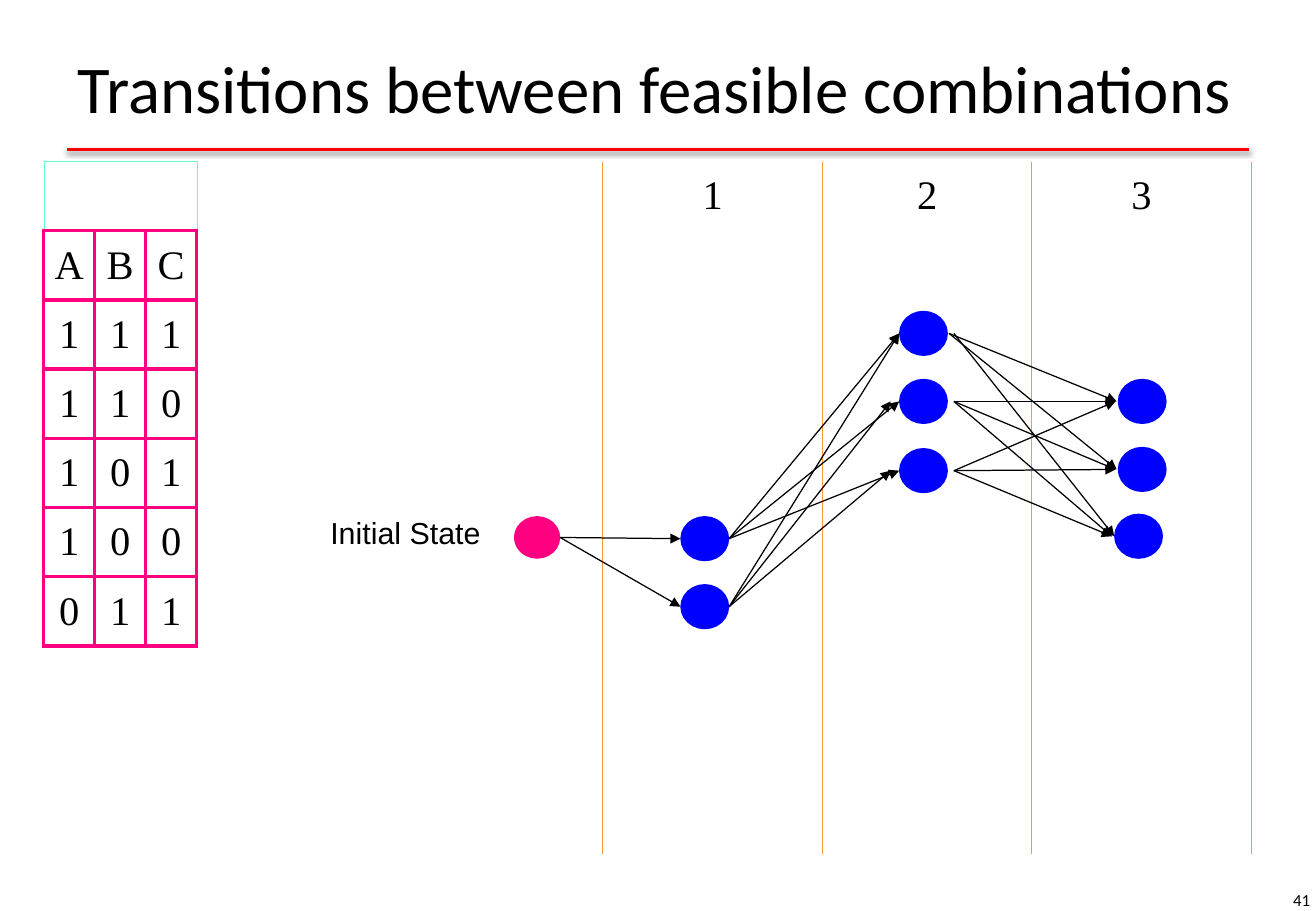
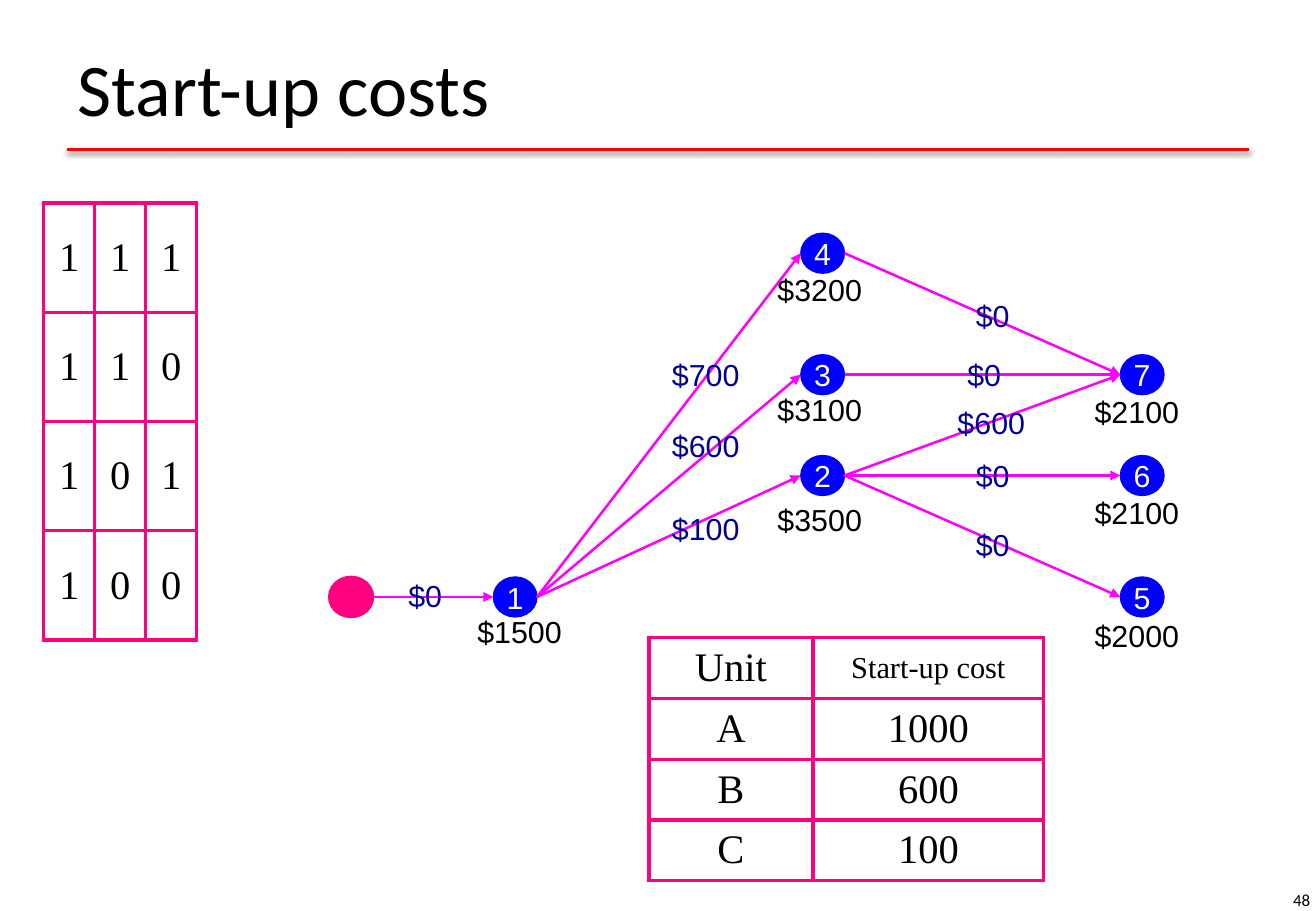
from dataclasses import dataclass

from lxml import etree
from pptx import Presentation
from pptx.dml.color import RGBColor
from pptx.enum.shapes import MSO_CONNECTOR, MSO_SHAPE
from pptx.enum.text import MSO_ANCHOR, MSO_AUTO_SIZE, PP_ALIGN
from pptx.oxml.ns import qn
from pptx.util import Inches, Pt

LEFT, CENTER, RIGHT = PP_ALIGN.LEFT, PP_ALIGN.CENTER, PP_ALIGN.RIGHT
TOP, MIDDLE = MSO_ANCHOR.TOP, MSO_ANCHOR.MIDDLE
TITLE_ONLY = 5


@dataclass(frozen=True)
class Theme:
    black: str = "000000"
    white: str = "FFFFFF"
    red: str = "FF0000"
    pink: str = "FF0080"
    blue: str = "0000FF"
    navy: str = "000099"
    magenta: str = "FF00FF"
    orange: str = "FF9933"
    aqua: str = "66FFCC"
    heading_font: str = "Calibri"
    label_font: str = "Arial"
    table_font: str = "Times New Roman"
    title_size: float = 44
    long_title_size: float = 39.6
    number_size: float = 10
    label_size: float = 18
    table_size: float = 24


THEME = Theme()
TITLE_STYLE = (THEME.heading_font, THEME.title_size, THEME.black)
LONG_TITLE_STYLE = (THEME.heading_font, THEME.long_title_size, THEME.black)
NUMBER_STYLE = (THEME.heading_font, THEME.number_size, THEME.black)
LABEL_STYLE = (THEME.label_font, THEME.label_size, THEME.black)
NODE_STYLE = (THEME.label_font, THEME.label_size, THEME.white)
TRANSITION_STYLE = (THEME.label_font, THEME.label_size, THEME.navy)
TABLE_STYLE = (THEME.table_font, THEME.table_size, THEME.black)
SMALL_TABLE_STYLE = (THEME.table_font, THEME.label_size, THEME.black)

PINK_BORDER = (THEME.pink, 2.25)
AQUA_BORDER = (THEME.aqua, 0.25)
ORANGE_BORDER = (THEME.orange, 1)
PINK_GRID = dict.fromkeys("LRTB", PINK_BORDER)
EMPTY_HEADER_GRID = dict.fromkeys("LRT", AQUA_BORDER) | {"B": PINK_BORDER}
PERIOD_GRID = {"R": ORANGE_BORDER}

NODE_WIDTH, NODE_HEIGHT = 0.36, 0.33
COMBINATION_LEFT, COMBINATION_COLUMNS = 0.36, [0.42] * 3

COMBINATIONS = ["111", "110", "101", "100", "011"]
PERIODS = ["", "1", "2", "3"]
PERIOD_COLUMNS = [0.54, 1.81, 1.72, 1.81]
PERIOD_ROWS = 10

# Node name: left, top
STATES = {
    "initial": (4.24, 4.26),
    "1 high": (5.62, 4.27), "1 low": (5.62, 4.83),
    "2 high": (7.42, 2.58), "2 mid": (7.42, 3.14), "2 low": (7.42, 3.71),
    "3 high": (9.22, 3.14), "3 mid": (9.22, 3.7), "3 low": (9.19, 4.25),
}
# Start, ends, gap after the start, gap before the end
STATE_TRANSITIONS = [
    ("initial", ["1 high", "1 low"], 0.01, 0.02),
    ("1 high", ["2 high", "2 mid", "2 low"], 0.02, 0.02),
    ("1 low", ["2 high"], 0.02, 0.02),
    ("1 low", ["2 mid", "2 low"], 0.02, 0.09),
    ("2 high", ["3 high", "3 mid"], 0.03, 0.03),
    ("2 high", ["3 low"], 0.07, 0.02),
    ("2 mid", ["3 high", "3 mid", "3 low"], 0.07, 0.04),
    ("2 low", ["3 high", "3 mid", "3 low"], 0.07, 0.04),
]

COST_STATES = {
    "initial": (2.71, 4.75), "1": (4.06, 4.75),
    "4": (6.59, 1.92), "3": (6.59, 2.92), "2": (6.59, 3.75),
    "7": (9.22, 2.92), "6": (9.22, 3.75), "5": (9.22, 4.75),
}
COST_TRANSITIONS = [
    ("initial", ["1"], 0.01, 0),
    ("1", ["4", "3", "2"], 0, 0),
    ("4", ["7"], 0, 0),
    ("3", ["7"], 0, 0),
    ("2", ["5", "7", "6"], 0, 0),
]
RUNNING_COSTS = [
    ("$1500", 3.83, 5), ("$3500", 6.3, 4.08), ("$3100", 6.3, 3.17),
    ("$3200", 6.3, 2.18), ("$2000", 8.91, 5.03), ("$2100", 8.91, 4.02),
    ("$2100", 8.91, 3.19),
]
TRANSITION_COSTS = [
    ("$0", 3.34, 4.75), ("$0", 8.01, 4.33), ("$0", 8.01, 3.76),
    ("$0", 7.94, 2.93), ("$0", 8.01, 2.45), ("$600", 7.86, 3.33),
    ("$100", 5.51, 4.2), ("$600", 5.51, 3.52), ("$700", 5.51, 2.93),
]
UNIT_COSTS = [("Unit", "Start-up cost"), ("A", "1000"), ("B", "600"), ("C", "100")]


def color(value):
    return RGBColor.from_string(value)


def write(frame, text, style, align=LEFT):
    name, size, text_color = style
    paragraph = frame.paragraphs[0]
    paragraph.alignment = align
    run = paragraph.add_run()
    run.text = text
    for attribute, value in {"name": name, "size": Pt(size), "bold": False}.items():
        setattr(run.font, attribute, value)
    run.font.color.rgb = color(text_color)


def set_frame(frame, side=0.1, edge=0.05, anchor=TOP, wrap=False):
    values = {
        "margin_left": Inches(side), "margin_right": Inches(side),
        "margin_top": Inches(edge), "margin_bottom": Inches(edge),
        "vertical_anchor": anchor, "word_wrap": wrap,
        "auto_size": MSO_AUTO_SIZE.NONE,
    }
    for attribute, value in values.items():
        setattr(frame, attribute, value)


def add_text(slide, text, box, style, align=LEFT, **frame_format):
    frame = slide.shapes.add_textbox(*map(Inches, box)).text_frame
    set_frame(frame, **frame_format)
    write(frame, text, style, align)


def add_line(slide, start, end, line_color, width):
    """Add a straight line and return it with its empty effect list."""
    line = slide.shapes.add_connector(
        MSO_CONNECTOR.STRAIGHT, *map(Inches, (*start, *end)))
    line.line.color.rgb = color(line_color)
    line.line.width = Pt(width)
    properties = line.element.find(qn("p:spPr"))
    return line, etree.SubElement(properties, qn("a:effectLst"))


def add_title_rule(slide):
    """Put the red rule with its soft shadow on the layout of the slide."""
    rule, effects = add_line(slide, (0.55, 1.23), (10.28, 1.23), THEME.red, 2)
    shadow = etree.SubElement(
        effects, qn("a:outerShdw"), blurRad=str(Pt(3.1)), dist=str(Pt(1.6)),
        dir="5400000", algn="ctr", rotWithShape="0")
    shade = etree.SubElement(shadow, qn("a:srgbClr"), val=THEME.black)
    etree.SubElement(shade, qn("a:alpha"), val="38000")
    slide.slide_layout.shapes.element.append(rule.element)


def add_slide(presentation, title, number, style=TITLE_STYLE, title_width=9.75):
    slide = presentation.slides.add_slide(presentation.slide_layouts[TITLE_ONLY])
    shape = slide.shapes.title
    box = {"left": 0.54, "top": 0.13, "width": title_width, "height": 1.17}
    for attribute, value in box.items():
        setattr(shape, attribute, Inches(value))
    set_frame(shape.text_frame, anchor=MIDDLE, wrap=True)
    write(shape.text_frame, title, style)
    add_text(slide, number, (8.35, 7.21, 2.53, 0.4), NUMBER_STYLE, RIGHT,
             anchor=MIDDLE, wrap=True)
    return slide


def set_borders(cell, borders):
    properties = cell._tc.get_or_add_tcPr()
    for side in "LRTB":
        border_color, width = borders.get(side, (None, 0))
        line = etree.SubElement(properties, qn(f"a:ln{side}"), w=str(Pt(width)))
        if border_color:
            fill = etree.SubElement(line, qn("a:solidFill"))
            etree.SubElement(fill, qn("a:srgbClr"), val=border_color)
        else:
            etree.SubElement(line, qn("a:noFill"))


def add_grid(slide, rows, left, top, columns, row_height, borders, special=None):
    """Add a table; special maps (row, column) to borders or a text style."""
    special = special or {}
    table = slide.shapes.add_table(
        len(rows), len(columns), Inches(left), Inches(top),
        Inches(sum(columns)), Inches(row_height * len(rows))).table
    table.first_row = table.horz_banding = False
    for column, width in zip(table.columns, columns):
        column.width = Inches(width)
    for row_index, texts in enumerate(rows):
        table.rows[row_index].height = Inches(row_height)
        for column_index, text in enumerate(texts):
            cell = table.cell(row_index, column_index)
            choice = special.get((row_index, column_index))
            set_borders(cell, choice if isinstance(choice, dict) else borders)
            cell.fill.background()
            cell.margin_left = cell.margin_right = 0
            cell.vertical_anchor = MIDDLE
            if text:
                style = choice if isinstance(choice, tuple) else TABLE_STYLE
                write(cell.text_frame, text, style, CENTER)
    return table


def add_network(slide, nodes, transitions, arrow, outline, numbered=False):
    for name, (left, top) in nodes.items():
        is_initial = name == "initial"
        node = slide.shapes.add_shape(
            MSO_SHAPE.OVAL, *map(Inches, (left, top, NODE_WIDTH, NODE_HEIGHT)))
        node.shadow.inherit = False
        node.fill.solid()
        node.fill.fore_color.rgb = node.line.color.rgb = color(
            THEME.pink if is_initial else THEME.blue)
        node.line.width = Pt(1.5 if is_initial else outline)
        if numbered and not is_initial:
            set_frame(node.text_frame, 0, 0, MIDDLE)
            write(node.text_frame, name, NODE_STYLE, CENTER)
    for start, ends, start_gap, end_gap in transitions:
        start_left, start_top = nodes[start]
        begin = (start_left + NODE_WIDTH + start_gap, start_top + NODE_HEIGHT / 2)
        for end in ends:
            end_left, end_top = nodes[end]
            target = (end_left - end_gap, end_top + NODE_HEIGHT / 2)
            line, _ = add_line(slide, begin, target, *arrow)
            etree.SubElement(line.line._get_or_add_ln(), qn("a:tailEnd"),
                             type="triangle")


def build_transitions(presentation):
    slide = add_slide(presentation, "Transitions between feasible combinations",
                      "41", LONG_TITLE_STYLE, 10.07)
    add_title_rule(slide)
    header = {(0, column): EMPTY_HEADER_GRID for column in range(3)}
    table = add_grid(slide, ["", "ABC", *COMBINATIONS] and
                     [[""] * 3, "ABC", *COMBINATIONS], COMBINATION_LEFT, 1.33,
                     COMBINATION_COLUMNS, 0.57, PINK_GRID, header)
    table.cell(0, 0).merge(table.cell(0, 2))
    blank_rows = [[""] * len(PERIODS)] * (PERIOD_ROWS - 1)
    add_grid(slide, [PERIODS, *blank_rows], 4.42, 1.33, PERIOD_COLUMNS, 0.57,
             PERIOD_GRID)
    add_network(slide, STATES, STATE_TRANSITIONS, (THEME.black, 0.75), 3)
    add_text(slide, "Initial State", (2.62, 4.18, 1.44, 0.4), LABEL_STYLE)


def build_costs(presentation):
    slide = add_slide(presentation, "Start-up costs", "48")
    add_grid(slide, COMBINATIONS[:4], COMBINATION_LEFT, 1.67,
             COMBINATION_COLUMNS, 0.9, PINK_GRID)
    add_network(slide, COST_STATES, COST_TRANSITIONS, (THEME.magenta, 1.5), 0.75,
                numbered=True)
    for text, left, top in RUNNING_COSTS:
        add_text(slide, text, (left, top, 0.9, 0.4), LABEL_STYLE)
    add_grid(slide, UNIT_COSTS, 5.34, 5.25, [1.35, 1.9], 0.5, PINK_GRID,
             {(0, 1): SMALL_TABLE_STYLE})
    for text, left, top in TRANSITION_COSTS:
        width = 0.32 if text == "$0" else 0.6
        add_text(slide, text, (left, top, width, 0.3), TRANSITION_STYLE,
                 side=0.02, edge=0)


def main():
    presentation = Presentation()
    presentation.slide_width = Inches(10.83)
    presentation.slide_height = Inches(7.5)
    build_transitions(presentation)
    build_costs(presentation)
    presentation.save("out.pptx")


if __name__ == "__main__":
    main()
